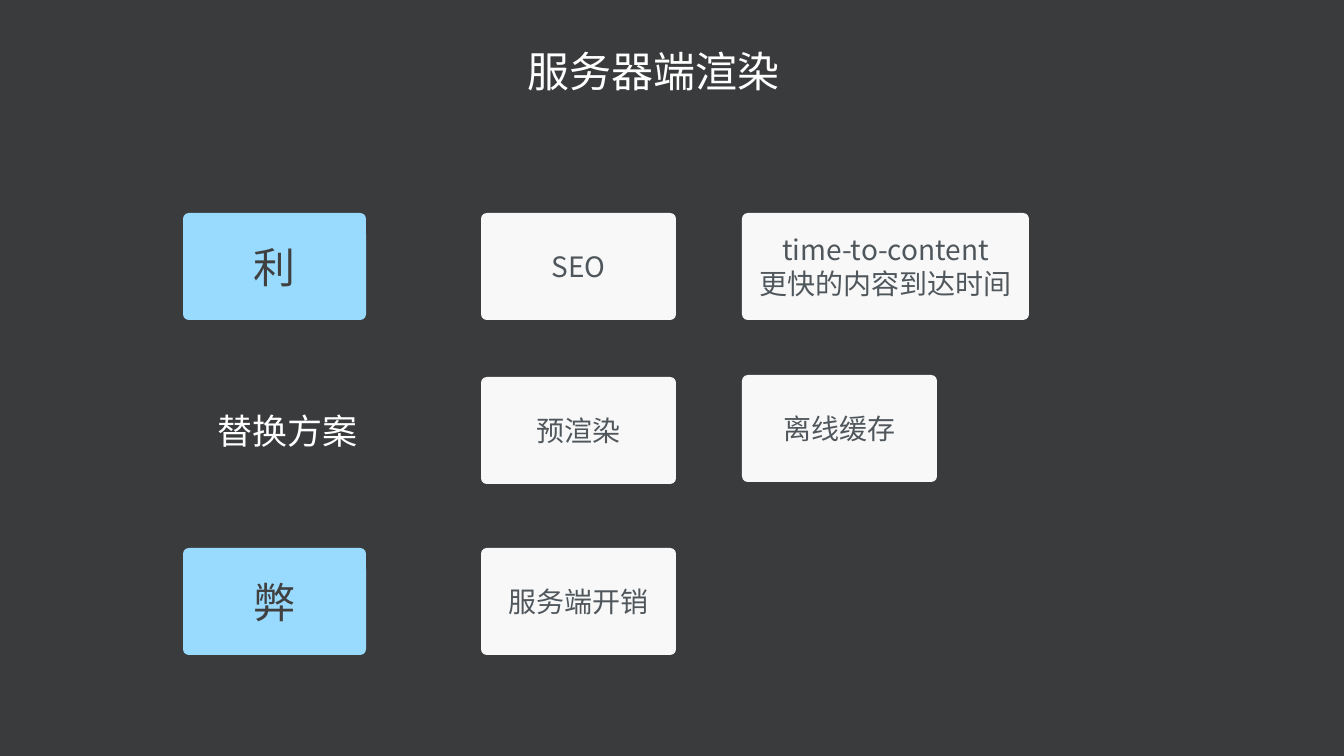
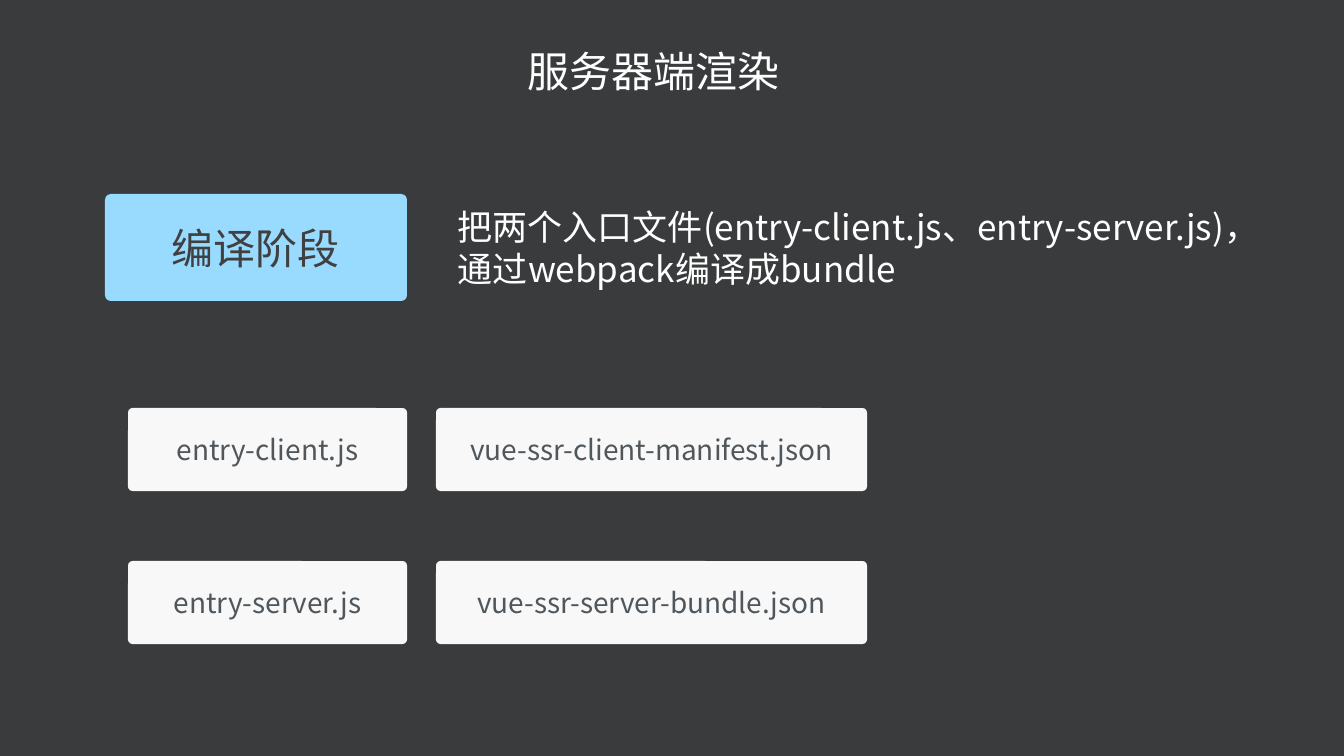
"""Builds two slides on server-side rendering: trade-offs and the compile stage."""
from lxml import etree
from pptx import Presentation
from pptx import util as u
from pptx.dml.color import RGBColor
from pptx.enum import shapes, text
from pptx.oxml.ns import qn

FONT = "Noto Sans CJK SC"
BACKGROUND = RGBColor(0x3A, 0x3B, 0x3C)
WHITE = RGBColor(0xFF, 0xFF, 0xFF)
BLUE = RGBColor(0x99, 0xDA, 0xFF)
PALE = RGBColor(0xF8, 0xF8, 0xF8)
DARK = RGBColor(0x40, 0x40, 0x40)
GREY = RGBColor(0x50, 0x57, 0x5C)

PX_PER_INCH = 50.4
CORNER = 0.054
BADGE = (BLUE, DARK, 60)
CARD = (PALE, GREY, 40)

TITLE = "服务器端渲染"
TITLE_BOX = (407, 46, 493, 50)

TRADE_OFFS = {
    "boxes": [
        (BADGE, (183, 213, 183, 107), ["利"]),
        (BADGE, (183, 548, 183, 107), ["弊"]),
        (CARD, (481, 213, 195, 107), ["SEO"]),
        (CARD, (481, 377, 195, 107), ["预渲染"]),
        (CARD, (481, 548, 195, 107), ["服务端开销"]),
        (CARD, (742, 213, 287, 107), ["time-to-content", "更快的内容到达时间"]),
        (CARD, (742, 375, 195, 107), ["离线缓存"]),
    ],
    "label": ((215, 406, 168, 50), "替换方案"),
}

STAGE = (105, 194, 302, 107), "编译阶段"
STAGE_NOTE = ((453, 203, 823, 90),
              "把两个入口文件(entry-client.js、entry-server.js)，通过webpack编译成bundle")
FILES = [
    ("entry-client.js", "vue-ssr-client-manifest.json"),
    ("entry-server.js", "vue-ssr-server-bundle.json"),
]
FILE_COLUMNS = [(128, 279), (436, 431)]
FILE_TOP, FILE_STEP, FILE_HEIGHT = 408, 153, 83


def px(n):
    return u.Inches(n / PX_PER_INCH)


def write(tf, lines, size, color, align):
    for i, line in enumerate(lines):
        p = tf.paragraphs[0] if i == 0 else tf.add_paragraph()
        p.alignment = align
        r = p.add_run()
        r.text = line
        r.font.size = u.Pt(size)
        r.font.color.rgb = color
        r.font.name = FONT
        etree.SubElement(r.font._element, qn("a:ea"), typeface=FONT)


def make_tight(tf):
    tf.margin_left = tf.margin_right = tf.margin_top = tf.margin_bottom = px(3)
    tf.word_wrap = False
    tf.auto_size = text.MSO_AUTO_SIZE.NONE
    tf.vertical_anchor = text.MSO_ANCHOR.MIDDLE


def add_slide(prs):
    s = prs.slides.add_slide(prs.slide_layouts[5])
    sp = s.shapes.title
    sp.left, sp.top, sp.width, sp.height = map(px, TITLE_BOX)
    make_tight(sp.text_frame)
    write(sp.text_frame, [TITLE], 60, WHITE, text.PP_ALIGN.CENTER)
    return s


def add_box(s, style, box, lines):
    fill, color, size = style
    sp = s.shapes.add_shape(shapes.MSO_SHAPE.ROUNDED_RECTANGLE, *map(px, box))
    sp.adjustments[0] = CORNER
    sp.shadow.inherit = False
    sp.fill.solid()
    sp.fill.fore_color.rgb = fill
    sp.line.fill.background()
    tf = sp.text_frame
    tf.word_wrap = True
    tf.vertical_anchor = text.MSO_ANCHOR.MIDDLE
    write(tf, lines, size, color, text.PP_ALIGN.CENTER)


def add_text(s, box, line):
    tf = s.shapes.add_textbox(*map(px, box)).text_frame
    write(tf, [line], 50, WHITE, text.PP_ALIGN.LEFT)
    return tf


def build_trade_offs(prs):
    s = add_slide(prs)
    for style, box, lines in TRADE_OFFS["boxes"]:
        add_box(s, style, box, lines)
    make_tight(add_text(s, *TRADE_OFFS["label"]))


def build_compile_stage(prs):
    s = add_slide(prs)
    stage_box, stage_name = STAGE
    add_box(s, BADGE, stage_box, [stage_name])
    tf = add_text(s, *STAGE_NOTE)
    tf.word_wrap = True
    tf.auto_size = text.MSO_AUTO_SIZE.SHAPE_TO_FIT_TEXT
    for row, names in enumerate(FILES):
        top = FILE_TOP + row * FILE_STEP
        for (left, width), name in zip(FILE_COLUMNS, names):
            add_box(s, CARD, (left, top, width, FILE_HEIGHT), [name])


def main():
    prs = Presentation()
    prs.slide_width, prs.slide_height = px(1344), px(756)
    fill = prs.slide_master.background.fill
    fill.solid()
    fill.fore_color.rgb = BACKGROUND
    build_trade_offs(prs)
    build_compile_stage(prs)
    prs.save("out.pptx")


if __name__ == "__main__":
    main()
